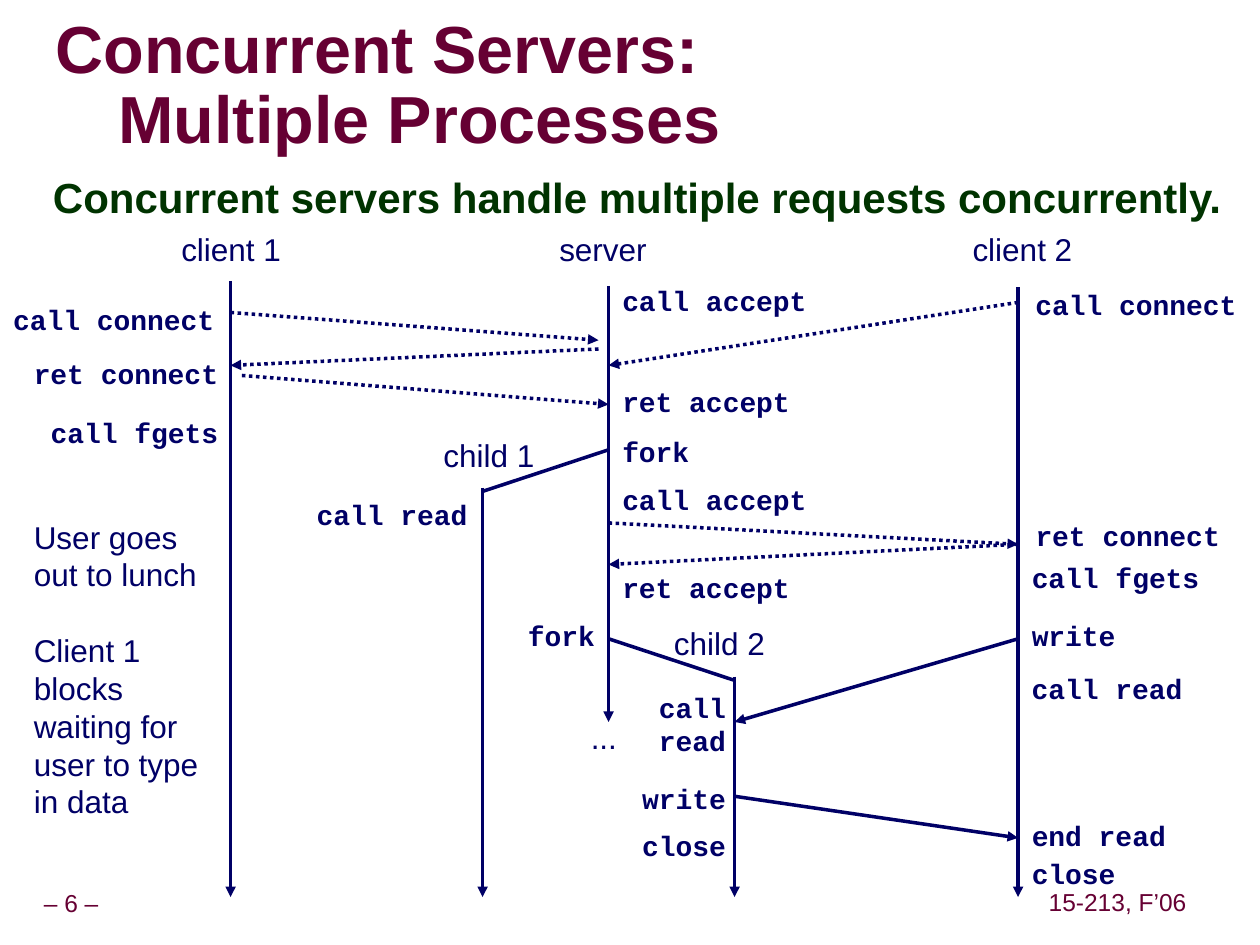
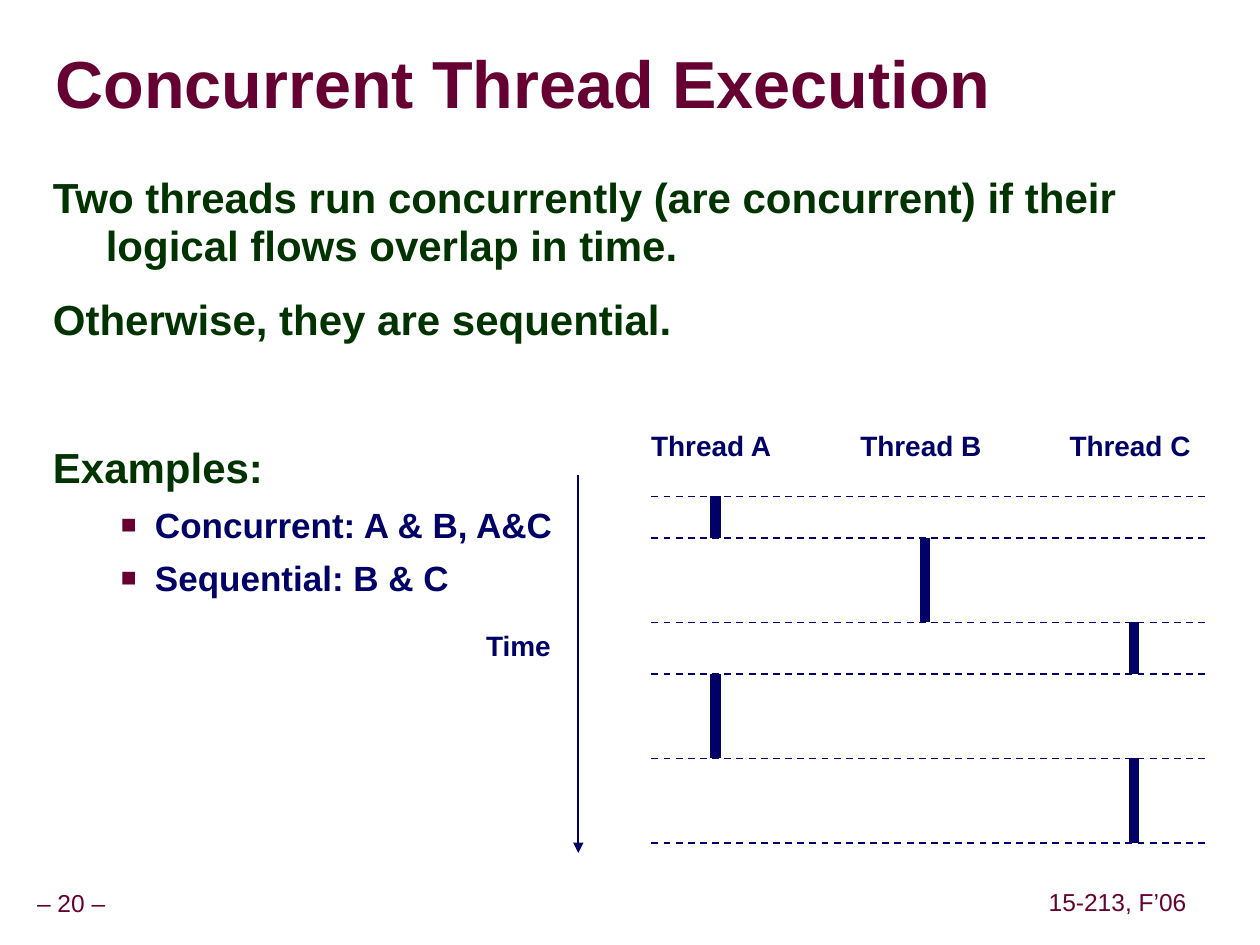
from lxml import etree
from pptx import Presentation
from pptx.dml.color import RGBColor
from pptx.enum import dml, shapes, text
from pptx.oxml.ns import qn
from pptx.util import Inches, Pt

# Shared style
NAVY, WINE, GREEN, GRAY = "000066", "660033", "003300", "969696"
SANS, MONO = "Arial", "Courier New"
COURSE = "15-213, F’06"
DOT, DASH = dml.MSO_LINE.ROUND_DOT, dml.MSO_LINE.DASH
LEFT, MID, RIGHT = text.PP_ALIGN.LEFT, text.PP_ALIGN.CENTER, text.PP_ALIGN.RIGHT

# Slide 1: lifelines of the processes
ONE, SERV, TWO, KID1, KID2 = 1.83, 4.83, 8.08, 3.83, 5.83
LIVES = [(ONE, 2.23, 7.12), (SERV, 2.27, 5.73), (TWO, 2.28, 7.12),
         (KID1, 3.87, 7.12), (KID2, 5.37, 7.12)]
# Messages: from x, y, to x, y
CALLS = [(ONE, 2.48, 4.75, 2.7), (4.75, 2.77, ONE, 2.9),
         (1.92, 2.98, SERV, 3.21), (TWO, 2.4, SERV, 2.9),
         (SERV, 4.15, TWO, 4.32), (TWO, 4.32, SERV, 4.48)]
DATA = [(TWO, 5.07, KID2, 5.73), (KID2, 6.32, TWO, 6.65)]
FORKS = [(SERV, 3.57, KID1, 3.9), (SERV, 5.07, KID2, 5.4)]
# Process names: left, top, width, text
NAMES = [(1.34, 1.78, 0.99, "client 1"), (4.34, 1.78, 0.89, "server"),
         (7.62, 1.78, 0.99, "client 2"), (3.42, 3.41, 0.92, "child 1"),
         (5.25, 4.9, 0.92, "child 2"), (4.59, 5.65, 0.41, "...")]
# Steps: edge of the column, alignment, then top and text of each
STEPS = [
    (1.8, RIGHT, [(2.35, "call connect")]),
    (1.83, RIGHT, [(2.78, "ret connect"), (3.25, "call fgets")]),
    (3.81, RIGHT, [(3.9, "call read")]),
    (4.82, RIGHT, [(4.86, "fork")]),
    (5.86, RIGHT, [(5.43, "call\nread"), (6.15, "write"), (6.53, "close")]),
    (4.84, LEFT, [(2.2, "call accept"), (3.0, "ret accept"), (3.4, "fork"),
                  (3.78, "call accept"), (4.48, "ret accept")]),
    (8.12, LEFT, [(2.23, "call connect"), (4.07, "ret connect")]),
    (8.09, LEFT, [(4.4, "call fgets"), (4.86, "write"), (5.28, "call read"),
                  (6.45, "end read"), (6.75, "close")]),
]
# Paragraphs: text, space before
LUNCH = [("User goes", 0), ("out to lunch", 0), ("Client 1 blocks", 21.7),
         ("waiting for user to type in data", 0)]

# Slide 2: level, text, space before
POINTS = [(0, "Two threads run concurrently (are concurrent) if their "
              "logical flows overlap in time.", 0),
          (0, "Otherwise, they are sequential.", 15),
          (0, "Examples:", 57),
          (1, "Concurrent: A & B, A&C", 6.2),
          (1, "Sequential: B & C", 6.2)]
TIMES = [3.94, 4.27, 4.94, 5.35, 6.02, 6.69]
TURNS = "ABCAC"
LANES = {name: 5.68 + 1.66 * i for i, name in enumerate("ABC")}


def rgb(code):
    return RGBColor.from_string(code)


def add_run(para, words, size, color, bold=False, face=SANS):
    run = para.add_run()
    run.text = words
    font = run.font
    font.size, font.bold, font.name = Pt(size), bold, face
    font.color.rgb = rgb(color)
    return run


def set_frame(frame, sides, ends, wrap, anchor=text.MSO_ANCHOR.TOP):
    frame.margin_left = frame.margin_right = Inches(sides)
    frame.margin_top = frame.margin_bottom = Inches(ends)
    frame.word_wrap, frame.vertical_anchor = wrap, anchor
    frame.auto_size = text.MSO_AUTO_SIZE.NONE


def place(shape, *box):
    shape.left, shape.top, shape.width, shape.height = map(Inches, box)


def next_para(frame, i):
    return frame.add_paragraph() if i else frame.paragraphs[0]


def add_label(slide, box, words, size, color=NAVY, bold=False, face=SANS,
              align=LEFT, inset=0.1, wrap=False):
    """Words are a string, or a list of (text, space before)."""
    frame = slide.shapes.add_textbox(*map(Inches, box)).text_frame
    set_frame(frame, inset, 0.05, wrap)
    if isinstance(words, str):
        words = [(line, 0) for line in words.split("\n")]
    for i, (line, gap) in enumerate(words):
        para = next_para(frame, i)
        para.alignment, para.space_before = align, Pt(gap)
        add_run(para, line, size, color, bold, face)


def add_line(slide, ends, width=2, dash=None, arrow=False):
    con = slide.shapes.add_connector(shapes.MSO_CONNECTOR.STRAIGHT,
                                     *map(Inches, ends))
    con.line.color.rgb, con.line.width = rgb(NAVY), Pt(width)
    if dash:
        con.line.dash_style = dash
    props = con._element.spPr
    if arrow:
        etree.SubElement(props.find(qn("a:ln")), qn("a:tailEnd"), type="triangle")
    etree.SubElement(props, qn("a:effectLst"))


def add_shade(run):
    """Put a grey shadow behind the letters of a run."""
    fx = etree.Element(qn("a:effectLst"))
    shade = etree.SubElement(fx, qn("a:outerShdw"), dist="71842", dir="2700000")
    etree.SubElement(shade, qn("a:srgbClr"), val=GRAY)
    run._r.rPr.find(qn("a:solidFill")).addnext(fx)


def set_bullet(para, level):
    props = para._p.get_or_add_pPr()
    left, hang = ((0.42, -0.42), (0.81, -0.27))[level]
    props.set("marL", str(Inches(left)))
    props.set("indent", str(Inches(hang)))
    if level == 0:
        etree.SubElement(props, qn("a:buNone"))
        return
    tint = etree.SubElement(props, qn("a:buClr"))
    etree.SubElement(tint, qn("a:srgbClr"), val=WINE)
    etree.SubElement(props, qn("a:buSzPct"), val="75000")
    etree.SubElement(props, qn("a:buFont"), typeface=SANS)
    etree.SubElement(props, qn("a:buChar"), char="■")


def start_slide(deck, number, title, points, width):
    """Add a slide with its title, body list and footers."""
    slide = deck.slides.add_slide(deck.slide_layouts[1])
    head, body = slide.placeholders

    place(head, 0.44, 0.27, 9.54, 0.85)
    set_frame(head.text_frame, 0, 0, True, text.MSO_ANCHOR.MIDDLE)
    para = head.text_frame.paragraphs[0]
    para.alignment, para.line_spacing = LEFT, 0.87
    for i, line in enumerate(title):
        if i:
            para.add_line_break()
        add_shade(add_run(para, line, 38, WINE, True))

    place(body, 0.32, 1.34, width, 5.71)
    set_frame(body.text_frame, 0.1, 0.05, True)
    for i, (level, words, gap) in enumerate(points):
        para = next_para(body.text_frame, i)
        para.level = level
        set_bullet(para, level)
        para.space_before = Pt(gap)
        para.line_spacing = (0.95, 1.0)[level]
        add_run(para, words, (24, 20)[level], (GREEN, NAVY)[level], True)

    for box, words in [((-0.09, 7, 1.31, 0.31), f"– {number} –"),
                       ((8.27, 6.99, 1.2, 0.31), COURSE)]:
        add_label(slide, box, words, 14, WINE, align=MID, inset=0.05)
    return slide


def draw_servers(deck):
    claim = "Concurrent servers handle multiple requests concurrently."
    slide = start_slide(deck, 6, ["Concurrent Servers:", "\tMultiple Processes"],
                        [(0, claim, 0)], 9.68)
    # Lifelines and messages
    for x, top, end in LIVES:
        add_line(slide, (x, top, x, end), arrow=True)
    for ends in CALLS:
        add_line(slide, ends, dash=DOT, arrow=True)
    for ends in DATA:
        add_line(slide, ends, arrow=True)
    for ends in FORKS:
        add_line(slide, ends)
    # Names, steps and remark
    for x, y, width, name in NAMES:
        add_label(slide, (x, y, width, 0.4), name, 18)
    for edge, align, steps in STEPS:
        for y, step in steps:
            lines = step.split("\n")
            width = 0.2 + max(map(len, lines)) * 16 * 0.6 / 72
            x = edge - width if align == RIGHT else edge
            box = (x, y, width, 0.1 + 0.27 * len(lines))
            add_label(slide, box, step, 16, bold=True, face=MONO, align=align)
    add_label(slide, (0.17, 4.06, 1.67, 2.5), LUNCH, 18, wrap=True)


def draw_threads(deck):
    slide = start_slide(deck, 20, ["Concurrent Thread Execution"], POINTS, 9.09)
    # Time axis
    add_line(slide, (4.59, 3.77, 4.59, 6.77), 1, arrow=True)
    add_label(slide, (3.76, 4.94, 0.71, 0.37), "Time", 16, bold=True)
    # Lanes, running spells and switches
    for name, x in LANES.items():
        add_label(slide, (x - 0.61, 3.35, 1.16, 0.37), f"Thread {name}", 16,
                  bold=True)
    for name, top, end in zip(TURNS, TIMES, TIMES[1:]):
        add_line(slide, (LANES[name], top, LANES[name], end), 6)
    for y in TIMES:
        add_line(slide, (5.17, y, 9.59, y), 1, DASH)


def main():
    deck = Presentation()
    deck.slide_width, deck.slide_height = Inches(10), Inches(7.5)
    draw_servers(deck)
    draw_threads(deck)
    deck.save("out.pptx")


if __name__ == "__main__":
    main()
